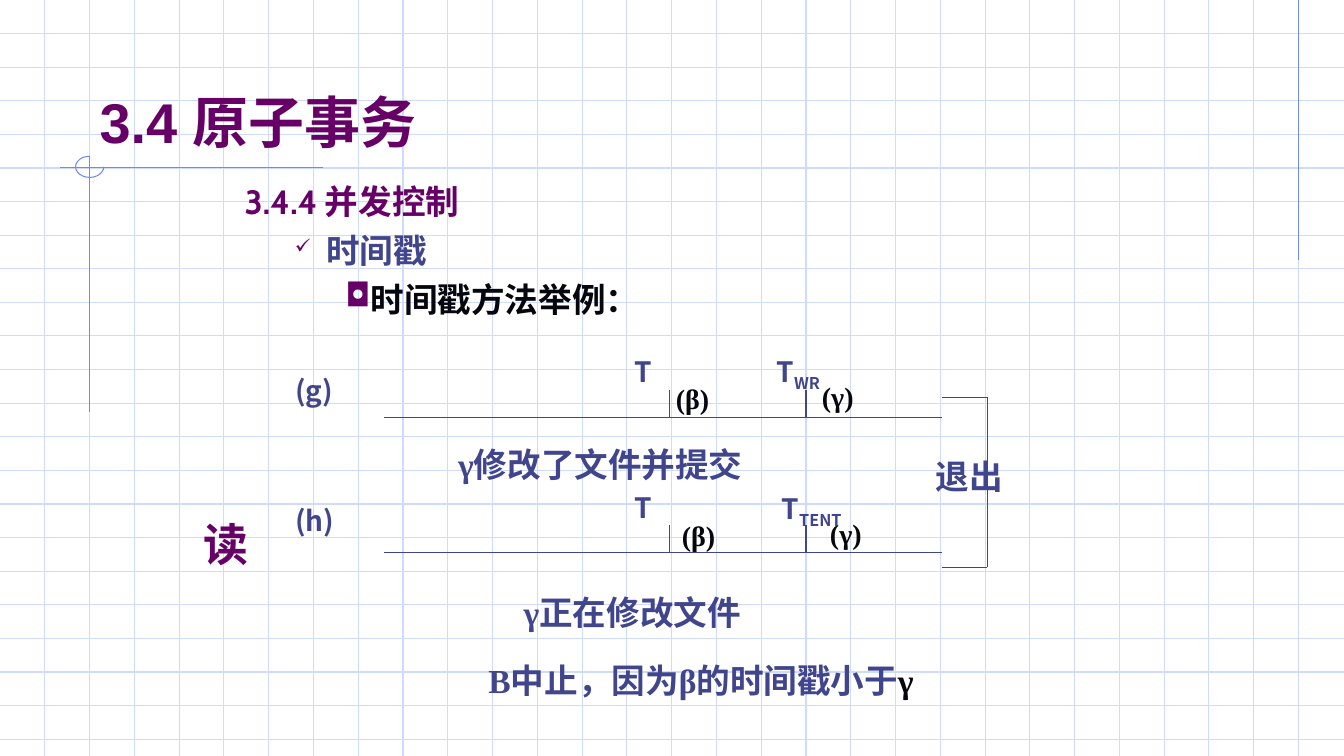
from lxml.etree import SubElement
from pptx import Presentation
from pptx.dml.color import RGBColor
from pptx.enum.shapes import MSO_CONNECTOR, MSO_SHAPE
from pptx.enum.text import MSO_ANCHOR
from pptx.oxml.ns import qn
from pptx.util import Inches, Pt

WIDTH, HEIGHT = 13.34, 7.5
GRID, ORNAMENT = "CFDBFD", "6F89F7"
PURPLE, INDIGO, BLACK = "660066", "40458C", "06070E"
SANS, SERIF = "Noto Sans CJK SC", "Times New Roman"


def color(value):
    return RGBColor.from_string(value)


def add_line(slide, start, end, line_color):
    points = [Inches(value) for value in (*start, *end)]
    line = slide.shapes.add_connector(MSO_CONNECTOR.STRAIGHT, *points)
    line.line.color.rgb = color(line_color)
    line.line.width = Pt(0.75)
    SubElement(line._element.spPr, qn("a:effectLst"))


def add_run(paragraph, text, size=20, font=SANS, text_color=INDIGO, baseline=0):
    run = paragraph.add_run()
    run.text = text
    formats = {"size": Pt(size), "bold": True, "name": font}
    for name, value in formats.items():
        setattr(run.font, name, value)
    run.font.color.rgb = color(text_color)
    properties = run._r.get_or_add_rPr()
    SubElement(properties, qn("a:ea")).set("typeface", SANS)
    if baseline:
        properties.set("baseline", str(baseline))


def add_frame(slide, box, anchor=MSO_ANCHOR.TOP):
    frame = slide.shapes.add_textbox(*[Inches(value) for value in box]).text_frame
    frame.word_wrap = True
    frame.vertical_anchor = anchor
    return frame


def add_label(slide, box, *runs):
    """Add a one-line text box; each run is a dict of add_run arguments."""
    paragraph = add_frame(slide, box).paragraphs[0]
    for run in runs:
        add_run(paragraph, **run)


def add_bullet(paragraph, character, percent, margin, indent):
    properties = paragraph._p.get_or_add_pPr()
    properties.set("marL", str(Inches(margin)))
    properties.set("indent", str(Inches(-indent)))
    bullet_color = SubElement(properties, qn("a:buClr"))
    SubElement(bullet_color, qn("a:srgbClr")).set("val", PURPLE)
    SubElement(properties, qn("a:buSzPct")).set("val", str(percent * 1000))
    SubElement(properties, qn("a:buChar")).set("char", character)


def draw_background(slide, width, height):
    row_gap, column_gap = 1 / 3, 4 / 9
    for row in range(1, int(height / row_gap) + 1):
        add_line(slide, (0, row * row_gap), (width, row * row_gap), GRID)
    for column in range(1, int(width / column_gap)):
        add_line(slide, (column * column_gap, 0), (column * column_gap, height), GRID)

    add_line(slide, (12.89, 0), (12.89, 2.58), ORNAMENT)
    add_line(slide, (0.6, 1.66), (3.21, 1.66), ORNAMENT)
    add_line(slide, (0.89, 1.55), (0.89, 4.09), ORNAMENT)
    box = [Inches(value) for value in (0.75, 1.55, 0.28, 0.21)]
    arc = slide.shapes.add_shape(MSO_SHAPE.ARC, *box)
    arc.shadow.inherit = False
    arc.adjustments[0] = 0
    arc.adjustments[1] = 162  # 270 degrees
    arc.fill.background()
    arc.line.color.rgb = color(ORNAMENT)
    arc.line.width = Pt(0.75)


def draw_title(slide, box):
    paragraph = add_frame(slide, box, MSO_ANCHOR.BOTTOM).paragraphs[0]
    add_run(paragraph, "3.4 ", 40, "Arial", PURPLE)
    add_run(paragraph, "原子事务", 40, SANS, PURPLE)


def draw_outline(slide, box):
    frame = add_frame(slide, box)
    add_run(frame.paragraphs[0], "3.4.4 并发控制", 24, "Cabin", PURPLE)
    items = [
        ("时间戳", INDIGO, "✓", 60, 0.81, 0.31),
        ("时间戳方法举例：", BLACK, "◘", 95, 1.25, 0.25),
    ]
    for text, text_color, character, percent, margin, indent in items:
        paragraph = frame.add_paragraph()
        paragraph.space_before = Pt(6)
        add_bullet(paragraph, character, percent, margin, indent)
        add_run(paragraph, text, 24, "Cabin", text_color)


def draw_timeline(slide, left, axis, name, subscript, caption, offsets):
    """Draw one time axis; offsets place its labels from the axis start."""
    add_line(slide, (left, axis), (left + 5.54, axis), INDIGO)
    for tick in (2.84, 4.19):
        add_line(slide, (left + tick, axis - 0.27), (left + tick, axis), INDIGO)
    black = {"font": SERIF, "text_color": BLACK}
    labels = {
        "name": (1.05, [{"text": name}]),
        "time": (1.05, [{"text": "T"}]),
        "beta": (0.9, [{"text": "(β)", **black}]),
        "gamma": (0.9, [{"text": "(γ)", **black}]),
        "stamp": (1.49, [{"text": "T"}, {"text": subscript, "baseline": -25000}]),
        "caption": (5.34, [{"text": "γ", "size": 24, "font": SERIF},
                           {"text": caption, "size": 24}]),
    }
    for key, (width, runs) in labels.items():
        across, down = offsets[key]
        height = 0.5 if key == "caption" else 0.44
        add_label(slide, (left + across, axis + down, width, height), *runs)


def draw_exit_bracket(slide, left, top, width, height):
    right, bottom = left + width, top + height
    add_line(slide, (left, top), (right, top), INDIGO)
    add_line(slide, (right, top), (right, bottom), INDIGO)
    add_line(slide, (left, bottom), (right, bottom), INDIGO)
    add_label(slide, (left - 0.16, top + 0.53, 1.73, 0.5), {"text": "退出", "size": 24})


def draw_read_example(slide, left, top):
    draw_timeline(slide, left, top, "(g)", "WR", "修改了文件并提交", {
        "name": (-0.98, -0.48), "time": (2.39, -0.67), "beta": (2.8, -0.4),
        "gamma": (4.25, -0.42), "stamp": (3.8, -0.67), "caption": (0.64, 0.21)})
    draw_timeline(slide, left, top + 1.34, "(h)", "TENT", "正在修改文件", {
        "name": (-0.98, -0.53), "time": (2.39, -0.66), "beta": (2.86, -0.39),
        "gamma": (4.33, -0.4), "stamp": (3.85, -0.65), "caption": (1.29, 0.34)})
    draw_exit_bracket(slide, left + 5.54, top - 0.2, 0.45, 1.69)
    add_label(slide, (left - 1.89, top + 0.94, 0.58, 0.64),
              {"text": "读", "size": 32, "text_color": PURPLE})
    add_label(slide, (left + 0.94, top + 2.36, 4.75, 0.5),
              {"text": "Β中止，因为β的时间戳小于", "size": 24, "font": SERIF},
              {"text": "γ", "size": 24, "font": SERIF, "text_color": BLACK})


def main():
    presentation = Presentation()
    presentation.slide_width = Inches(WIDTH)
    presentation.slide_height = Inches(HEIGHT)
    slide = presentation.slides.add_slide(presentation.slide_layouts[6])
    draw_background(slide, WIDTH, HEIGHT)
    draw_title(slide, (0.89, 0.33, 11.33, 1.25))
    draw_outline(slide, (2.33, 1.75, 8.74, 1.7))
    draw_read_example(slide, 3.81, 4.14)
    presentation.save("out.pptx")


if __name__ == "__main__":
    main()
